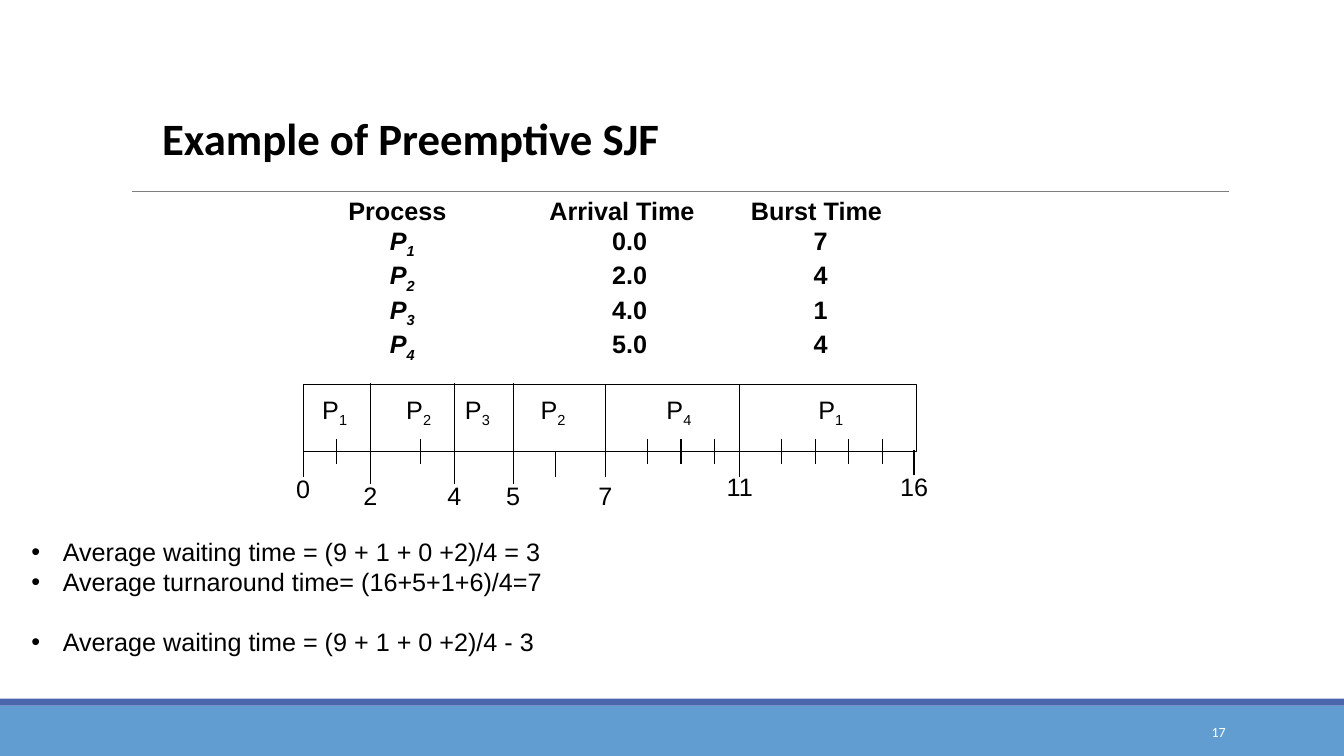
from lxml import etree
from pptx import Presentation
from pptx.dml.color import RGBColor
from pptx.enum.shapes import MSO_CONNECTOR, MSO_SHAPE
from pptx.enum.text import MSO_ANCHOR, PP_ALIGN
from pptx.oxml.ns import qn
from pptx.util import Pt

RECTANGLE = MSO_SHAPE.RECTANGLE
STRAIGHT = MSO_CONNECTOR.STRAIGHT
TOP, MIDDLE, BOTTOM = MSO_ANCHOR.TOP, MSO_ANCHOR.MIDDLE, MSO_ANCHOR.BOTTOM
LEFT, CENTER, RIGHT = PP_ALIGN.LEFT, PP_ALIGN.CENTER, PP_ALIGN.RIGHT

COLORS = {
    "ink": "000000",
    "paper": "FFFFFF",
    "rule": "7F7F7F",
    "footer": "629DD1",
    "footer_edge": "4A66AC",
}

PROCESSES = [
    ("Process", "Arrival Time", "Burst Time"),
    ("P1", "0.0", "7"),
    ("P2", "2.0", "4"),
    ("P3", "4.0", "1"),
    ("P4", "5.0", "4"),
]
COLUMN_WIDTHS = (169, 156, 117)
HEADER_SHIFTS = (7, 11, 6)

# Offsets are measured from the left and top of the schedule bar.
SCHEDULE = [("1", 22.5), ("2", 82.5), ("3", 124.5), ("2", 178.5), ("4", 268.5), ("1", 377)]
TIME_MARKS = [
    ("0", 0, 48, 66, 74),
    ("2", 48, -1, 71, 79.5),
    ("4", 108, -1, 71, 79.5),
    ("5", 150, -1, 71, 79.5),
    ("7", 216, 0, 66, 79.5),
    ("11", 312, 0, 66, 73),
    ("16", 436.5, 47, 65, 73),
]
UNIT_TICKS = (24, 84, 246, 270, 294, 342, 366, 390, 414)
LOW_TICK = 180

RESULTS = [
    ("Average waiting time = (9 + 1 + 0 +2)/4 = 3", 0),
    ("Average turnaround time= (16+5+1+6)/4=7", 0),
    ("Average waiting time = (9 + 1 + 0 +2)/4 - 3", 21.5),
]


def color(name):
    """Return the named colour."""
    return RGBColor.from_string(COLORS[name])


def add_span(para, text, size=18, font="Arial", ink="ink", bold=False, italic=False, sub=False):
    """Append one formatted run to a paragraph."""
    span = para.add_run()
    span.text = text
    span.font.size = Pt(size)
    span.font.name = font
    span.font.bold = bold
    span.font.italic = italic
    span.font.color.rgb = color(ink)
    if sub:
        span.font._element.set("baseline", "-25000")


def add_text_box(page, left, top, width, height, anchor=MIDDLE, align=LEFT, wrap=True):
    """Add an empty text box and return its first paragraph and frame."""
    frame = page.shapes.add_textbox(Pt(left), Pt(top), Pt(width), Pt(height)).text_frame
    frame.word_wrap = wrap
    frame.vertical_anchor = anchor
    para = frame.paragraphs[0]
    para.alignment = align
    return para, frame


def add_bar(page, left, top, width, height, fill, outline=None):
    """Add a flat rectangle."""
    bar = page.shapes.add_shape(RECTANGLE, Pt(left), Pt(top), Pt(width), Pt(height))
    bar.shadow.inherit = False
    bar.fill.solid()
    bar.fill.fore_color.rgb = color(fill)
    if outline:
        bar.line.color.rgb = color(outline)
        bar.line.width = Pt(0.75)
    else:
        bar.line.fill.background()


def add_line(page, x1, y1, x2, y2, ink="ink", width=0.75):
    """Add a straight line without a shadow."""
    line = page.shapes.add_connector(STRAIGHT, Pt(x1), Pt(y1), Pt(x2), Pt(y2))
    line.line.color.rgb = color(ink)
    line.line.width = Pt(width)
    etree.SubElement(line._element.spPr, qn("a:effectLst"))


def add_footer(page, left, top, width, height):
    """Draw the footer band with the page number."""
    add_bar(page, left, top + 5, width, height - 5, "footer")
    add_bar(page, left, top, width, 5, "footer_edge")
    para, _ = add_text_box(page, left + 780, top + 9.5, 103, 28.5, align=RIGHT)
    add_span(para, "17", size=10, font="Calibri", ink="paper")


def add_heading(page, left, top, width, height):
    """Write the title above a thin rule."""
    add_line(page, left, top + height, left + width, top + height, "rule", 0.5)
    para, _ = add_text_box(page, left + 14.5, top, 648, 38, anchor=BOTTOM)
    para.line_spacing = 0.85
    add_span(para, "Example of Preemptive SJF", size=32, font="Calibri", bold=True)


def add_process_table(page, left, top, width, height):
    """Tabulate arrival and burst time of each process."""
    frame = page.shapes.add_table(
        len(PROCESSES), len(COLUMN_WIDTHS), Pt(left), Pt(top), Pt(width), Pt(height))
    table = frame.table
    table.first_row = False
    table.horz_banding = False
    for column, column_width in zip(table.columns, COLUMN_WIDTHS):
        column.width = Pt(column_width)
    for row_index, values in enumerate(PROCESSES):
        table.rows[row_index].height = Pt(24.5 if row_index else 21.5)
        for column_index, value in enumerate(values):
            cell = table.cell(row_index, column_index)
            cell.fill.background()
            cell.vertical_anchor = TOP
            cell.margin_left = cell.margin_top = cell.margin_bottom = Pt(0)
            cell.margin_right = Pt(0 if row_index else HEADER_SHIFTS[column_index])
            para = cell.text_frame.paragraphs[0]
            para.alignment = CENTER
            if row_index and column_index == 0:
                add_span(para, value[0], bold=True, italic=True)
                add_span(para, value[1], bold=True, italic=True, sub=True)
            else:
                add_span(para, value, bold=True)


def add_schedule(page, left, top, width, height):
    """Draw the schedule bar with its process labels and time axis."""
    add_bar(page, left, top, width, height, "paper", "ink")
    for number, center in SCHEDULE:
        para, _ = add_text_box(page, left + center - 16, top + 3.5, 32, 32, align=CENTER, wrap=False)
        add_span(para, "P")
        add_span(para, number, sub=True)
    for time, x, start, end, label_center in TIME_MARKS:
        add_line(page, left + x, top + start, left + x, top + end)
        para, _ = add_text_box(
            page, left + x - 20, top + label_center - 14.5, 40, 29, align=CENTER, wrap=False)
        add_span(para, time)
    for x in UNIT_TICKS:
        add_line(page, left + x, top + 39, left + x, top + 57)
    add_line(page, left + LOW_TICK, top + height, left + LOW_TICK, top + height + 18)


def add_results(page, left, top, width, height):
    """List the averages as bullets."""
    para, frame = add_text_box(page, left, top, width, height, anchor=TOP)
    for index, (text, gap) in enumerate(RESULTS):
        if index:
            para = frame.add_paragraph()
        para.space_before = Pt(gap)
        properties = para._p.get_or_add_pPr()
        properties.set("marL", str(Pt(22.5)))
        properties.set("indent", str(Pt(-22.5)))
        etree.SubElement(properties, qn("a:buFont")).set("typeface", "Arial")
        etree.SubElement(properties, qn("a:buChar")).set("char", "•")
        add_span(para, text)


def main():
    """Build the slide and save it."""
    deck = Presentation()
    deck.slide_width, deck.slide_height = Pt(960.5), Pt(540)
    page = deck.slides.add_slide(deck.slide_layouts[6])
    add_footer(page, 0, 499, 960.5, 41)
    add_heading(page, 94.3, 83, 784, 53.8)
    add_process_table(page, 203, 141, sum(COLUMN_WIDTHS), 119.5)
    add_schedule(page, 216.7, 274.5, 438, 48)
    add_results(page, 15.3, 379.5, 906.5, 96.5)
    deck.save("out.pptx")


if __name__ == "__main__":
    main()
